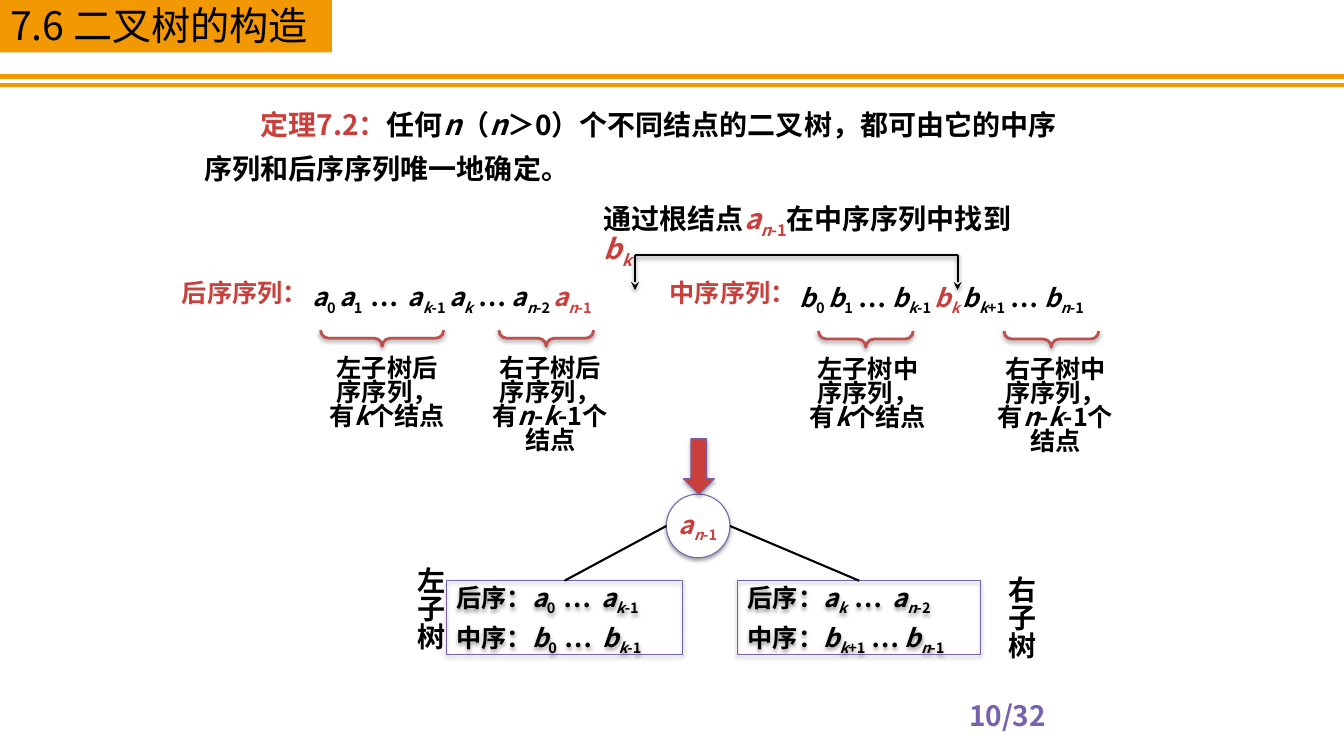
from lxml import etree
from pptx import Presentation
from pptx import util as u
from pptx.dml import color as dml
from pptx.enum import shapes, text
from pptx.oxml import ns

Pt = u.Pt
FACE = "Noto Sans CJK SC"
BLACK, RED, ORANGE, PURPLE = "000000", "C93F3C", "F29803", "7563AF"
LEFT, CENTER = text.PP_ALIGN.LEFT, text.PP_ALIGN.CENTER
ROOT = "!/a|!_/n|!_-1"


def paint(target, value):
    target.rgb = dml.RGBColor.from_string(value)


def fill(shape, value):
    shape.fill.solid()
    paint(shape.fill.fore_color, value)


def outline(shape, value, width):
    shape.line.width = Pt(width)
    shape.line.fill.solid()
    paint(shape.line.fill.fore_color, value)


def effect(shape, opacity=0):
    effects = etree.SubElement(shape.element.spPr, ns.qn("a:effectLst"))
    if opacity:
        shadow = etree.SubElement(
            effects, ns.qn("a:outerShdw"), blurRad=str(Pt(3.1)),
            dist=str(Pt(1.6)), dir="5400000", rotWithShape="0")
        shade = etree.SubElement(shadow, ns.qn("a:srgbClr"), val=BLACK)
        etree.SubElement(shade, ns.qn("a:alpha"), val=str(opacity * 1000))


def write_span(para, marked):
    content = marked.lstrip("/_!~")
    flags = marked[:len(marked) - len(content)]
    span = para.add_run()
    span.text = content
    if "/" in flags:
        span.font.italic = True
    if "!" in flags:
        paint(span.font.color, RED)
    properties = span.font._element if hasattr(span.font, "_element") else span._r.get_or_add_rPr()
    if "_" in flags:
        properties.set("baseline", "-25000")
    if "~" in flags:
        properties.set("spc", "150")


def write(box, lines, size=18, color=BLACK, align=LEFT, spacing=0.8,
          insets=(0, 0), bold=True, indent=0):
    frame = box.text_frame
    frame.word_wrap = True
    frame.vertical_anchor = text.MSO_ANCHOR.TOP
    frame.margin_left = frame.margin_right = Pt(insets[0])
    frame.margin_top = frame.margin_bottom = Pt(insets[1])
    for index, line in enumerate(lines):
        para = frame.add_paragraph() if index else frame.paragraphs[0]
        para.alignment = align
        para.line_spacing = spacing
        para.space_before = Pt(8.5 if index else 0)
        if indent:
            para._p.get_or_add_pPr().set("indent", str(Pt(indent)))
        para.font.name = FACE
        para.font.size = Pt(size)
        para.font.bold = bold
        paint(para.font.color, color)
        defaults = para._p.pPr.find(ns.qn("a:defRPr"))
        etree.SubElement(defaults, ns.qn("a:ea"), typeface=FACE)
        for marked in line.split("|"):
            write_span(para, marked)
    return frame


def add_text(page, left, top, width, height, line, **style):
    box = page.shapes.add_textbox(Pt(left), Pt(top), Pt(width), Pt(height))
    write(box, [line], **style)
    return box


def add_preset(page, kind, left, top, width, height):
    return page.shapes.add_shape(kind, Pt(left), Pt(top), Pt(width), Pt(height))


def add_line(page, start, end, color=BLACK, width=1.5, arrow=False, opacity=0):
    line = page.shapes.add_connector(
        shapes.MSO_CONNECTOR.STRAIGHT, *(Pt(value) for value in start + end))
    outline(line, color, width)
    if arrow:
        etree.SubElement(line.line._get_or_add_ln(), ns.qn("a:tailEnd"), type="stealth")
    effect(line, opacity)


def add_heading(page, width, height):
    title = page.shapes.title
    title.left, title.top, title.width, title.height = 0, 0, Pt(width), Pt(height)
    fill(title, ORANGE)
    frame = write(title, ["7.6 二叉树的构造"], size=28, bold=False, insets=(7.2, 7.2))
    frame.auto_size = text.MSO_AUTO_SIZE.NONE
    frame.word_wrap = False
    for top in (54.7, 60.5):
        add_line(page, (0, top), (960, top), "F19903", 3)


def add_segment(page, left, top, width, middle, span, line):
    add_text(page, left, top + 14, width, 70, line, align=CENTER)
    depth = 11.5
    brace = add_preset(page, shapes.MSO_SHAPE.LEFT_BRACE,
                       middle - depth / 2, top - span / 2, depth, span)
    brace.rotation = 270
    brace.adjustments[0], brace.adjustments[1] = 0.498, 0.5
    brace.fill.background()
    outline(brace, "C0504D", 2)
    effect(brace, 38)


def add_traversal(page, left, top, order, sequence, segments):
    add_text(page, left, top, 108, 17, f"{order}序序列：", color=RED, align=CENTER)
    add_text(page, left + 102, top + 1.4, 262, 17, sequence)
    ends = (f"左子树{order}序序列，有|/k|个结点",
            f"右子树{order}序序列，有|/n|-|/k|-1个结点")
    for (offset, middle, span), line in zip(segments, ends):
        add_segment(page, left + offset, top + 39.6, 85, left + middle, span, line)


def add_pointer(page, left, top, width, height):
    add_text(page, left - 22.3, top - 36, 310, 20,
             f"通过根结点|{ROOT}|在中序序列中找到|!/b|!_/k", size=20)
    right = left + width
    add_line(page, (left, top), (right, top), opacity=38)
    for end in (left, right):
        add_line(page, (end, top), (end, top + height), arrow=True, opacity=38)


def add_subtree(page, left, top, width, height, lines, name, name_left, name_top, joint):
    box = add_preset(page, shapes.MSO_SHAPE.RECTANGLE, left, top, width, height)
    box.fill.background()
    outline(box, PURPLE, 0.75)
    effect(box, 38)
    write(box, lines, insets=(7.2, 3.6))
    label = add_text(page, name_left, name_top, 33.8, 95.8, name,
                     size=20, align=CENTER, insets=(7.2, 3.6))
    label.text_frame.auto_size = text.MSO_AUTO_SIZE.SHAPE_TO_FIT_TEXT
    label.element.txBody.bodyPr.set("vert", "eaVert")
    add_line(page, joint, (left + width / 2, top))


def add_tree(page, left, top, size):
    root = add_preset(page, shapes.MSO_SHAPE.OVAL, left, top, size, size)
    fill(root, "FFFFFF")
    outline(root, PURPLE, 0.75)
    effect(root, 38)
    frame = write(root, [ROOT], align=CENTER, insets=(0, 3.6))
    frame.vertical_anchor = text.MSO_ANCHOR.MIDDLE
    middle, base = top + size / 2, top + 61.8
    add_subtree(page, left - 157, base, 168.5, 52.6,
                ["后序：|/a|_0|~ … |/a|_/k|_-1", "中序：|/b|_0|~ … |/b|_/k|_-1"],
                "左子树", left - 191, base - 17.3, (left, middle))
    add_subtree(page, left + 51, base, 173.5, 52.6,
                ["后序：|/a|_/k|~ … |/a|_/n|_-2", "中序：|/b|_/k|_+1| … |/b|_/n|_-1"],
                "右子树", left + 231, base - 10.8, (left + size, middle))
    arrow = add_preset(page, shapes.MSO_SHAPE.DOWN_ARROW, left + 12, top - 39.6, 22.4, 39.6)
    fill(arrow, RED)
    outline(arrow, "7D60A0", 0.75)
    effect(arrow, 35)


def main():
    deck = Presentation()
    deck.slide_width, deck.slide_height = Pt(960), Pt(540)
    page = deck.slides.add_slide(deck.slide_layouts[5])
    add_heading(page, 237, 37.4)
    add_text(page, 139, 66.2, 639, 70,
             "!定理7.2：|任何|/n|（|/n|＞0）个不同结点的二叉树，都可由它的中序序列和后序序列唯一地确定。",
             size=20, spacing=1.3, insets=(7.2, 3.6), indent=40)
    add_traversal(page, 121, 202, "后",
                  "/a|_0 |/a|_1|~ … |/a|_/k|_-1 |/a|_/k| … |/a|_/n|_-2 |" + ROOT,
                  [(113, 152, 88), (229.6, 269.2, 67.7)])
    add_traversal(page, 469.4, 202.6, "中",
                  "/b|_0 |/b|_1| … |/b|_/k|_-1 |!/b|!_/k |/b|_/k|_+1| … |/b|_/n|_-1",
                  [(108, 149.1, 67.7), (242, 281.6, 67.7)])
    add_pointer(page, 453.6, 182.2, 230.4, 25)
    add_tree(page, 476, 353, 45.4)
    add_text(page, 635.8, 500.4, 167.8, 28.8, "10/32", size=20, color=PURPLE,
             align=CENTER, insets=(7.2, 3.6))
    deck.save("out.pptx")


if __name__ == "__main__":
    main()
